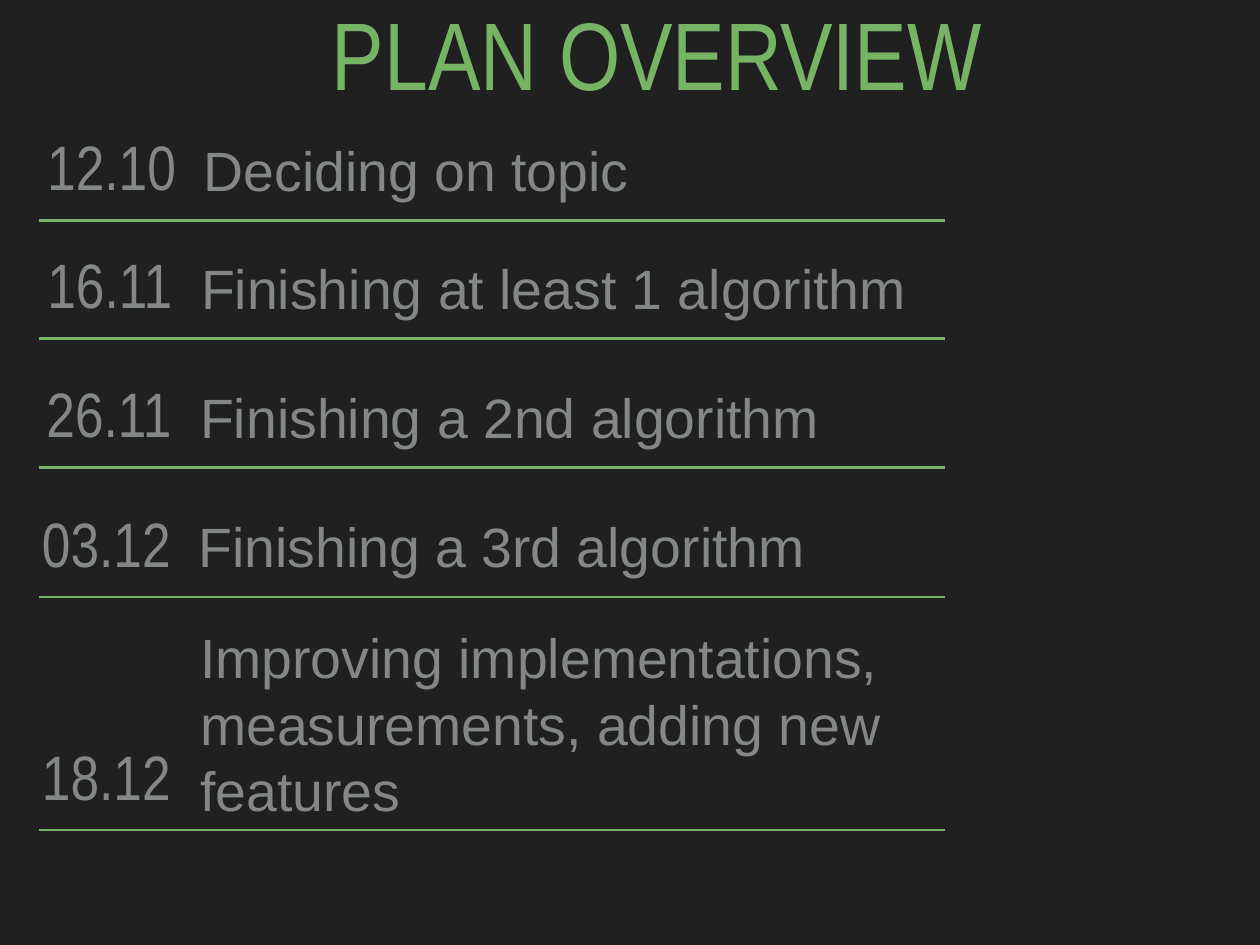
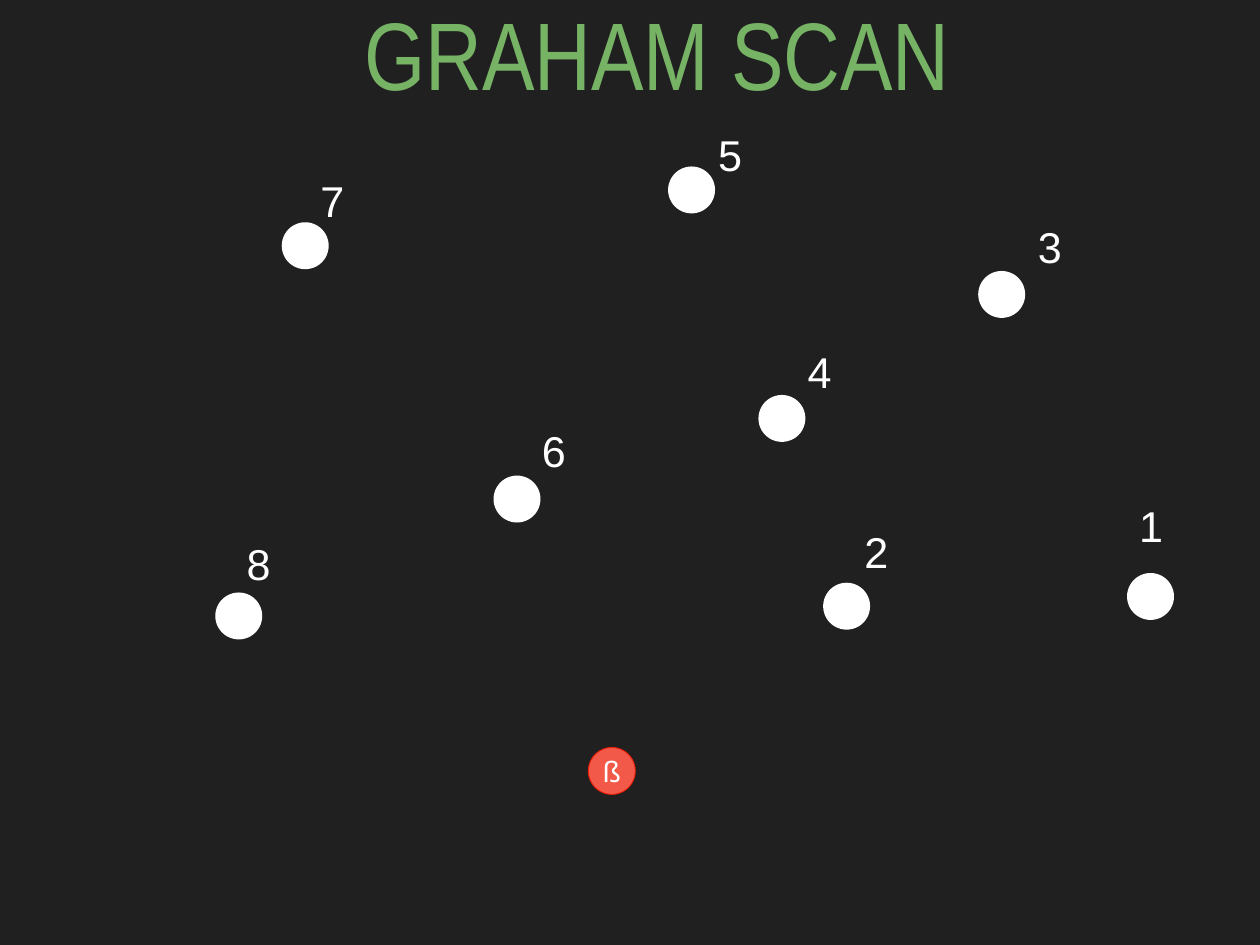
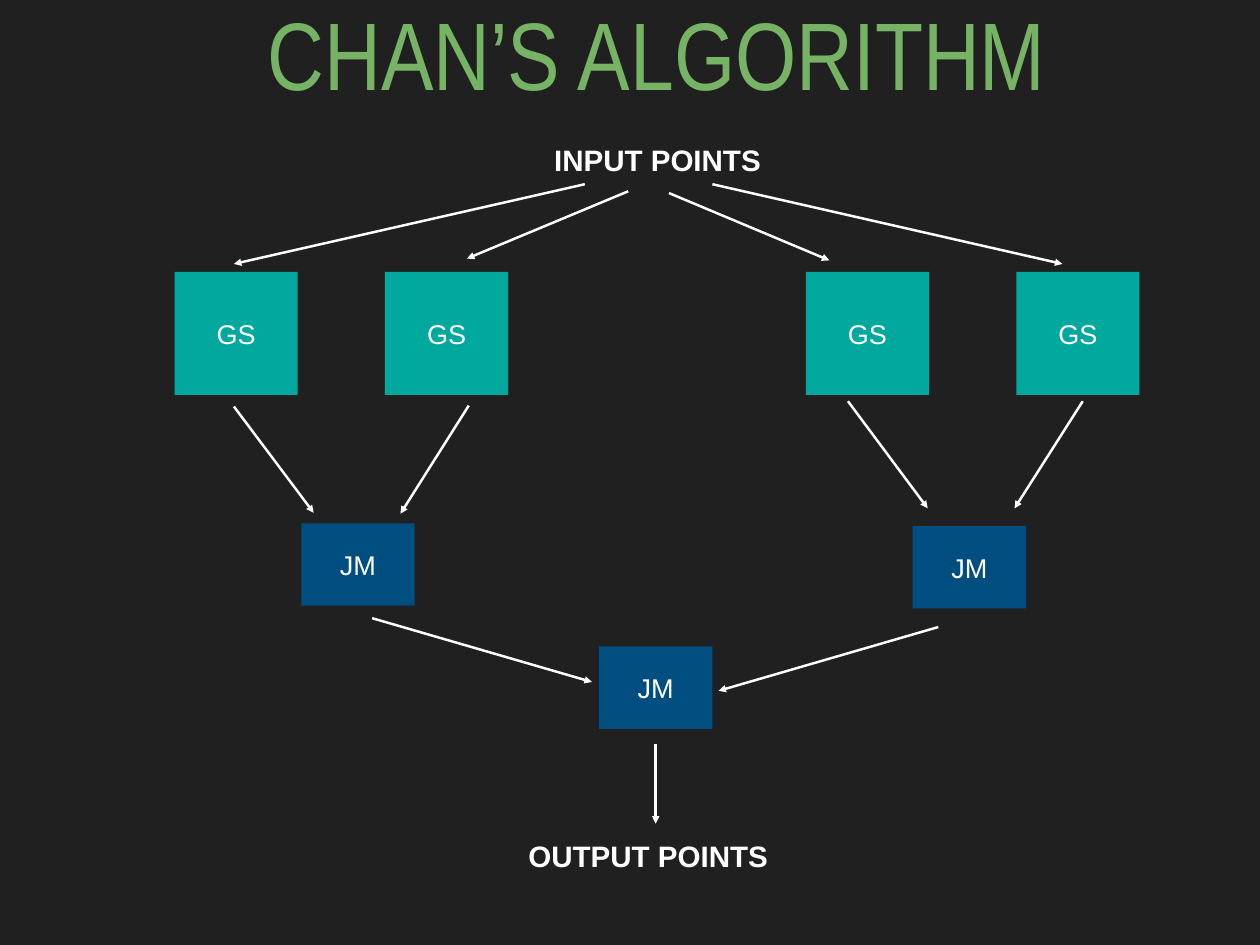
"""Build three slides about convex hull algorithms: plan, Graham scan and Chan's algorithm."""
from dataclasses import dataclass
from typing import Optional

from lxml import etree
from pptx import Presentation, util as u
from pptx.dml.color import RGBColor
from pptx.enum import shapes, text
from pptx.oxml.ns import qn

COLORS = {
    "background": "202020",
    "green": "77B365",
    "gray": "838787",
    "white": "FFFFFF",
    "red": "F25949",
    "red_edge": "EE1D06",
    "teal": "00A89D",
    "blue": "004D80",
}
BODY_FONT = "Arial"
NARROW_FONT = "Arial Narrow"
INSET = u.Inches(0.06)
TITLE_ONLY = 5
DOT_SIZE = 0.53
RULE_LEFT, RULE_RIGHT = 0.44, 10.66
SCAN_SIZE = 1.39
SCAN_LEFT, SCAN_TOP, SCAN_STEP = 1.97, 3.07, 2.375
MARCH_WIDTH, MARCH_HEIGHT = 1.28, 0.93


@dataclass(frozen=True)
class TextStyle:
    size: float
    color: str = "white"
    font: str = BODY_FONT
    bold: bool = False
    align: text.PP_ALIGN = text.PP_ALIGN.CENTER
    anchor: text.MSO_ANCHOR = text.MSO_ANCHOR.MIDDLE
    wrap: bool = True
    line_spacing: Optional[float] = None
    space_before: float = 0


@dataclass(frozen=True)
class Milestone:
    date: str
    task: str
    rule_top: float
    date_left: float
    task_left: float
    task_top: float
    task_height: float = 0.96


@dataclass(frozen=True)
class ScanPoint:
    number: int
    left: float
    top: float
    label_left: float
    label_top: float


@dataclass(frozen=True)
class Arrow:
    start: tuple[float, float]
    end: tuple[float, float]


TITLE = TextStyle(78, "green", NARROW_FONT, anchor=text.MSO_ANCHOR.TOP, line_spacing=0.8)
DATE = TextStyle(51, "gray", NARROW_FONT, anchor=text.MSO_ANCHOR.TOP,
                 line_spacing=0.8, space_before=17)
TASK = TextStyle(45, "gray", align=text.PP_ALIGN.LEFT, space_before=24)
POINT_LABEL = TextStyle(35, wrap=False)
ORIGIN_LABEL = TextStyle(24)
STEP_LABEL = TextStyle(22)
ENDPOINT_LABEL = TextStyle(24, bold=True, wrap=False)

MILESTONES = [
    Milestone("12.10", "Deciding on topic", 2.49, 0.46, 2.24, 1.43),
    Milestone("16.11", "Finishing at least 1 algorithm", 3.82, 0.44, 2.21, 2.76),
    Milestone("26.11", "Finishing a 2nd algorithm", 5.28, 0.43, 2.2, 4.22),
    Milestone("03.12", "Finishing a 3rd algorithm", 6.74, 0.4, 2.18, 5.68),
    Milestone("18.12", "Improving implementations, measurements, adding new features",
              9.37, 0.4, 2.2, 6.84, 2.65),
]

SCAN_POINTS = [
    ScanPoint(1, 12.72, 6.47, 12.79, 5.59),
    ScanPoint(2, 9.29, 6.58, 9.69, 5.88),
    ScanPoint(3, 11.04, 3.06, 11.65, 2.43),
    ScanPoint(4, 8.56, 4.46, 9.05, 3.85),
    ScanPoint(5, 7.54, 1.88, 8.04, 1.4),
    ScanPoint(6, 5.57, 5.37, 6.05, 4.74),
    ScanPoint(7, 3.18, 2.51, 3.55, 1.92),
    ScanPoint(8, 2.43, 6.69, 2.72, 6.01),
]

SCAN_COLUMNS = (0, 1, 3, 4)
MARCH_POSITIONS = [(3.4, 5.91), (10.3, 5.94), (6.76, 7.3)]
ARROWS = [
    Arrow((6.6, 2.08), (2.64, 2.98)),
    Arrow((7.09, 2.16), (5.27, 2.92)),
    Arrow((7.55, 2.18), (9.36, 2.94)),
    Arrow((8.04, 2.08), (11.99, 2.98)),
    Arrow((2.64, 4.59), (3.54, 5.79)),
    Arrow((5.29, 4.58), (4.52, 5.8)),
    Arrow((9.57, 4.53), (10.47, 5.74)),
    Arrow((12.22, 4.53), (11.45, 5.74)),
    Arrow((4.2, 6.98), (6.68, 7.7)),
    Arrow((10.59, 7.08), (8.11, 7.8)),
    Arrow((7.4, 8.4), (7.4, 9.3)),
]


def rgb(name: str) -> RGBColor:
    """Look up a palette colour."""
    return RGBColor.from_string(COLORS[name])


def write(shape, content: str, style: TextStyle) -> None:
    """Fill a shape with one styled paragraph."""
    frame = shape.text_frame
    frame.text = content
    frame.auto_size = text.MSO_AUTO_SIZE.NONE
    frame.word_wrap = style.wrap
    frame.vertical_anchor = style.anchor
    frame.margin_left = frame.margin_right = INSET
    frame.margin_top = frame.margin_bottom = INSET
    paragraph = frame.paragraphs[0]
    paragraph.alignment = style.align
    paragraph.space_before = u.Pt(style.space_before)
    if style.line_spacing:
        paragraph.line_spacing = style.line_spacing
    for run in paragraph.runs:
        run.font.name = style.font
        run.font.size = u.Pt(style.size)
        run.font.bold = style.bold
        run.font.color.rgb = rgb(style.color)


def add_titled_slide(presentation, title: str):
    """Add a title-only slide with the shared title style."""
    slide = presentation.slides.add_slide(presentation.slide_layouts[TITLE_ONLY])
    shape = slide.shapes.title
    shape.left, shape.top = u.Inches(-0.18), u.Inches(0.13)
    shape.width, shape.height = u.Inches(15.19), u.Inches(1.22)
    write(shape, title, TITLE)
    return slide


def add_label(slide, content: str, left: float, top: float, width: float,
              height: float, style: TextStyle) -> None:
    """Add a text box."""
    box = slide.shapes.add_textbox(u.Inches(left), u.Inches(top),
                                   u.Inches(width), u.Inches(height))
    write(box, content, style)


def add_filled(slide, kind: shapes.MSO_SHAPE, left: float, top: float,
               width: float, height: float, color: str):
    """Add a flat preset shape without outline."""
    shape = slide.shapes.add_shape(kind, u.Inches(left), u.Inches(top),
                                   u.Inches(width), u.Inches(height))
    shape.shadow.inherit = False
    shape.fill.solid()
    shape.fill.fore_color.rgb = rgb(color)
    shape.line.fill.background()
    return shape


def add_line(slide, start: tuple[float, float], end: tuple[float, float],
             color: str, arrowhead: bool = False) -> None:
    """Add a straight line, optionally with an arrowhead at its end."""
    connector = slide.shapes.add_connector(
        shapes.MSO_CONNECTOR.STRAIGHT, *(u.Inches(value) for value in (*start, *end)))
    connector.line.color.rgb = rgb(color)
    connector.line.width = u.Pt(2)
    properties = connector.line._get_or_add_ln()
    if arrowhead:
        etree.SubElement(properties, qn("a:tailEnd"), type="triangle")
    etree.SubElement(properties.getparent(), qn("a:effectLst"))


def build_plan(presentation) -> None:
    """Draw the dated milestones."""
    slide = add_titled_slide(presentation, "PLAN OVERVIEW")
    for milestone in MILESTONES:
        add_label(slide, milestone.task, milestone.task_left, milestone.task_top,
                  8.47, milestone.task_height, TASK)
        add_line(slide, (RULE_LEFT, milestone.rule_top),
                 (RULE_RIGHT, milestone.rule_top), "green")
        add_label(slide, milestone.date, milestone.date_left,
                  milestone.rule_top - 0.94, 1.6, 0.83, DATE)


def build_graham_scan(presentation) -> None:
    """Draw the numbered points around the starting point."""
    slide = add_titled_slide(presentation, "GRAHAM SCAN")
    for point in SCAN_POINTS:
        add_filled(slide, shapes.MSO_SHAPE.OVAL, point.left, point.top,
                   DOT_SIZE, DOT_SIZE, "white")
        add_label(slide, str(point.number), point.label_left, point.label_top,
                  0.4, 0.69, POINT_LABEL)
    origin = add_filled(slide, shapes.MSO_SHAPE.OVAL, 6.64, 8.44, DOT_SIZE, DOT_SIZE, "red")
    origin.line.color.rgb = rgb("red_edge")
    origin.line.width = u.Pt(0.75)
    write(origin, "ß", ORIGIN_LABEL)


def build_chan(presentation) -> None:
    """Draw the flow from input points to output points."""
    slide = add_titled_slide(presentation, "CHAN’S ALGORITHM")
    add_label(slide, "INPUT POINTS", 6.18, 1.55, 2.48, 0.5, ENDPOINT_LABEL)
    add_label(slide, "OUTPUT POINTS", 5.89, 9.41, 2.85, 0.5, ENDPOINT_LABEL)
    for column in SCAN_COLUMNS:
        scan = add_filled(slide, shapes.MSO_SHAPE.RECTANGLE, SCAN_LEFT + column * SCAN_STEP,
                          SCAN_TOP, SCAN_SIZE, SCAN_SIZE, "teal")
        write(scan, "GS", STEP_LABEL)
    for left, top in MARCH_POSITIONS:
        march = add_filled(slide, shapes.MSO_SHAPE.RECTANGLE, left, top,
                           MARCH_WIDTH, MARCH_HEIGHT, "blue")
        write(march, "JM", STEP_LABEL)
    for arrow in ARROWS:
        add_line(slide, arrow.start, arrow.end, "white", arrowhead=True)


def main() -> None:
    """Build and save the presentation."""
    presentation = Presentation()
    presentation.slide_width = u.Inches(14.22)
    presentation.slide_height = u.Inches(10.67)
    background = presentation.slide_master.background.fill
    background.solid()
    background.fore_color.rgb = rgb("background")
    build_plan(presentation)
    build_graham_scan(presentation)
    build_chan(presentation)
    presentation.save("out.pptx")


if __name__ == "__main__":
    main()
